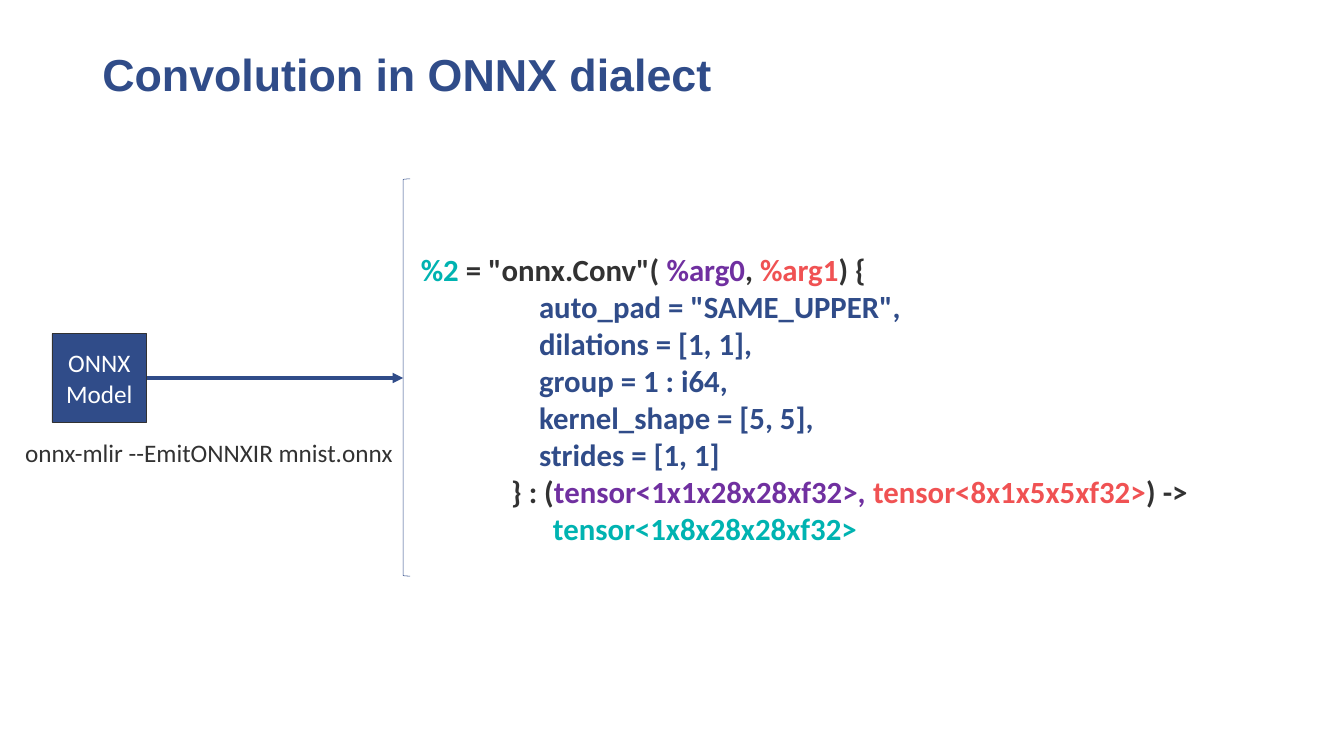
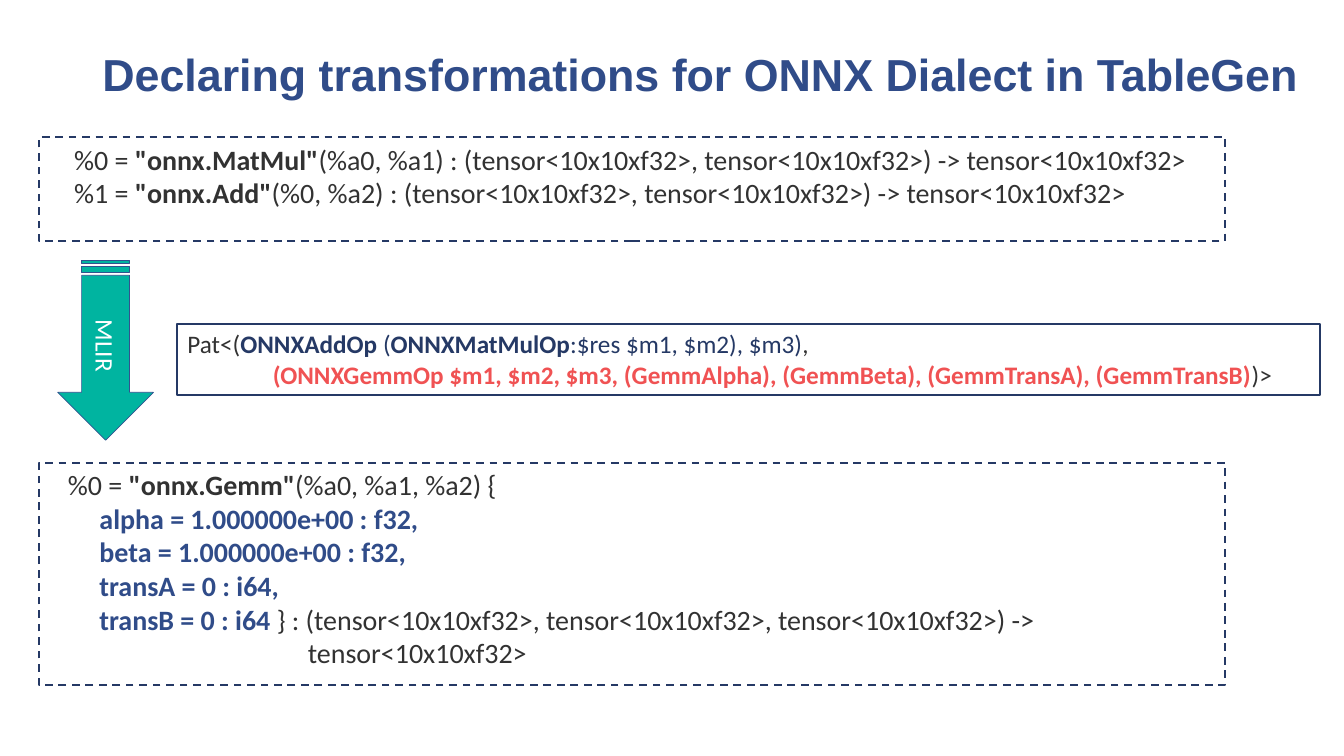
from typing import NamedTuple

from lxml.etree import SubElement
from pptx import Presentation
from pptx.dml.color import RGBColor
from pptx.enum.dml import MSO_LINE
from pptx.enum.shapes import MSO_CONNECTOR, MSO_SHAPE
from pptx.enum.text import MSO_ANCHOR, PP_ALIGN
from pptx.oxml.ns import qn
from pptx.util import Inches, Pt

BLUE = RGBColor(0x30, 0x4C, 0x89)
NAVY = RGBColor(0x25, 0x39, 0x65)
INK = RGBColor(0x32, 0x32, 0x32)
TEAL = RGBColor(0x00, 0xB3, 0xB1)
GREEN = RGBColor(0x00, 0xB4, 0xA0)
STEEL = RGBColor(0x31, 0x53, 0x8F)
PURPLE = RGBColor(0x70, 0x30, 0xA0)
CORAL = RGBColor(0xF0, 0x52, 0x53)
WHITE = RGBColor(0xFF, 0xFF, 0xFF)


class Box(NamedTuple):
    """A rectangle in inches."""
    left: float
    top: float
    width: float
    height: float

    def inner(self, left, top, width, height):
        """Return a box placed relative to this one."""
        return Box(self.left + left, self.top + top, width, height)

    def lengths(self):
        """Return the four measures as slide lengths."""
        return [Inches(measure) for measure in self]


class Run(NamedTuple):
    """A stretch of text in one colour and weight."""
    text: str
    color: RGBColor = INK
    bold: bool = False


def write(holder, lines, size, font="Calibri", align=PP_ALIGN.LEFT,
          anchor=MSO_ANCHOR.TOP, spacing=None):
    """Write lines of runs into a shape or text box."""
    frame = holder.text_frame
    frame.word_wrap = True
    frame.vertical_anchor = anchor
    frame.margin_left = frame.margin_right = Inches(0.2)
    frame.margin_top = frame.margin_bottom = Inches(0.1)
    for index, line in enumerate(lines):
        paragraph = frame.add_paragraph() if index else frame.paragraphs[0]
        paragraph.alignment = align
        if spacing:
            paragraph.line_spacing = spacing
        for piece in line:
            run = paragraph.add_run()
            run.text = piece.text
            run.font.name = font
            run.font.size = Pt(size)
            run.font.bold = piece.bold
            run.font.color.rgb = piece.color


def add_text(slide, box, lines, size, **style):
    """Add a text box."""
    write(slide.shapes.add_textbox(*box.lengths()), lines, size, **style)


def add_panel(slide, box, outline, weight, fill=None, preset=MSO_SHAPE.RECTANGLE):
    """Add a preset shape with its fill and outline."""
    panel = slide.shapes.add_shape(preset, *box.lengths())
    panel.shadow.inherit = False
    if fill is None:
        panel.fill.background()
    else:
        panel.fill.solid()
        panel.fill.fore_color.rgb = fill
    panel.line.color.rgb = outline
    panel.line.width = Pt(weight)
    return panel


def add_code_panel(slide, box, lines, size, dashed=False):
    """Add a white panel that holds code."""
    panel = add_panel(slide, box, NAVY, 2.75, WHITE)
    if dashed:
        panel.line.dash_style = MSO_LINE.DASH
    write(panel, lines, size)


def add_arrow(slide, left, right, height):
    """Add a level arrow that points right."""
    arrow = slide.shapes.add_connector(
        MSO_CONNECTOR.STRAIGHT, Inches(left), Inches(height), Inches(right), Inches(height))
    arrow.line.color.rgb = BLUE
    arrow.line.width = Pt(5)
    properties = arrow._element.spPr
    SubElement(properties.find(qn("a:ln")), qn("a:tailEnd"), type="triangle")
    SubElement(properties, qn("a:effectLst"))


def titled_slide(deck, title, width):
    """Add a blank slide with the shared title style."""
    slide = deck.slides.add_slide(deck.slide_layouts[6])
    add_text(slide, Box(1.83, 0.8, width, 1.44), [[Run(title, BLUE, True)]], 64,
             font="Arial", anchor=MSO_ANCHOR.MIDDLE, spacing=0.9)
    return slide


def convolution(slide, box):
    """Show the model, the command and the convolution it emits."""
    model_box = box.inner(0.73, 3.07, 1.88, 1.76)
    model = add_panel(slide, model_box, INK, 1, BLUE)
    write(model, [[Run("ONNX", WHITE)], [Run("Model", WHITE)]], 36,
          align=PP_ALIGN.CENTER, anchor=MSO_ANCHOR.MIDDLE)

    attributes = ['auto_pad = "SAME_UPPER",', "dilations = [1, 1],", "group = 1 : i64,",
                  "kernel_shape = [5, 5],", "strides = [1, 1]"]
    code = [
        [Run("%2", TEAL, True), Run(' = "onnx.Conv"( ', INK, True),
         Run("%arg0", PURPLE, True), Run(", ", INK, True),
         Run("%arg1", CORAL, True), Run(") {", INK, True)],
        *[[Run(" " * 17 + attribute, BLUE, True)] for attribute in attributes],
        [Run(" " * 13 + "} : (", INK, True), Run("tensor<1x1x28x28xf32>, ", PURPLE, True),
         Run("tensor<8x1x5x5xf32>", CORAL, True), Run(") ->", INK, True)],
        [Run(" " * 19 + "tensor<1x8x28x28xf32>", TEAL, True)],
    ]
    add_text(slide, box.inner(7.85, 1.33, 18.23, 7.88), code, 44)

    bracket_box = box.inner(7.7, 0, 0.14, box.height)
    bracket = add_panel(slide, bracket_box, BLUE, 0.75, preset=MSO_SHAPE.LEFT_BRACKET)
    bracket.adjustments[0] = 0.083
    add_arrow(slide, model_box.left + model_box.width, bracket_box.left,
              model_box.top + model_box.height / 2)
    add_text(slide, box.inner(0, 5.03, 8.57, 1.76),
             [[Run("onnx-mlir --EmitONNXIR mnist.onnx")]], 36)


def transformation(slide, box):
    """Show the code before and after the rewrite, with its pattern between."""
    signature = "tensor<10x10xf32>, tensor<10x10xf32>) -> tensor<10x10xf32>"
    before = [
        [Run(f"    {result} = "), Run(operation, bold=True), Run(f"({operands}) : ({signature}")]
        for result, operation, operands in [("%0", '"onnx.MatMul"', "%a0, %a1"),
                                            ("%1", '"onnx.Add"', "%0, %a2")]
    ]
    add_code_panel(slide, box.inner(0, 0, 23.54, 2.07), before, 40, dashed=True)

    attributes = ["alpha = 1.000000e+00 : f32,", "beta = 1.000000e+00 : f32,",
                  "transA = 0 : i64,", "transB = 0 : i64 "]
    after = [
        [Run("   %0 = "), Run('"onnx.Gemm"', bold=True), Run("(%a0, %a1, %a2) {")],
        *[[Run(" " * 8), Run(attribute, BLUE, True)] for attribute in attributes],
        [Run(" " * 41 + "tensor<10x10xf32>")],
    ]
    after[-2].append(
        Run("} : (tensor<10x10xf32>, tensor<10x10xf32>, tensor<10x10xf32>) ->"))
    add_code_panel(slide, box.inner(0, 6.46, 23.54, 4.41), after, 40, dashed=True)

    rewrite = add_panel(slide, box.inner(-0.46, 3.28, 3.57, 1.9), STEEL, 1, GREEN,
                        MSO_SHAPE.STRIPED_RIGHT_ARROW)
    rewrite.rotation = 90
    write(rewrite, [[Run("MLIR", WHITE)]], 36,
          align=PP_ALIGN.CENTER, anchor=MSO_ANCHOR.MIDDLE)

    pattern = [
        [Run("Pat<("), Run("ONNXAddOp", NAVY, True), Run(" (", NAVY),
         Run("ONNXMatMulOp", NAVY, True), Run(":$res $m1, $m2), $m3)", NAVY), Run(",")],
        [Run(" " * 15),
         Run("(ONNXGemmOp $m1, $m2, $m3, (GemmAlpha), (GemmBeta), (GemmTransA), (GemmTransB)",
             CORAL, True), Run(")>")],
    ]
    add_code_panel(slide, box.inner(2.75, 3.7, 22.67, 1.41), pattern, 36)


def main():
    """Build and save the deck."""
    deck = Presentation()
    deck.slide_width, deck.slide_height = Inches(26.67), Inches(15)
    convolution(titled_slide(deck, "Convolution in ONNX dialect", 23),
                Box(0.3, 3.55, 26.08, 7.88))
    transformation(
        titled_slide(deck, "Declaring transformations for ONNX Dialect in TableGen", 24.36),
        Box(0.77, 2.72, 25.42, 10.87))
    deck.save("out.pptx")


if __name__ == "__main__":
    main()
